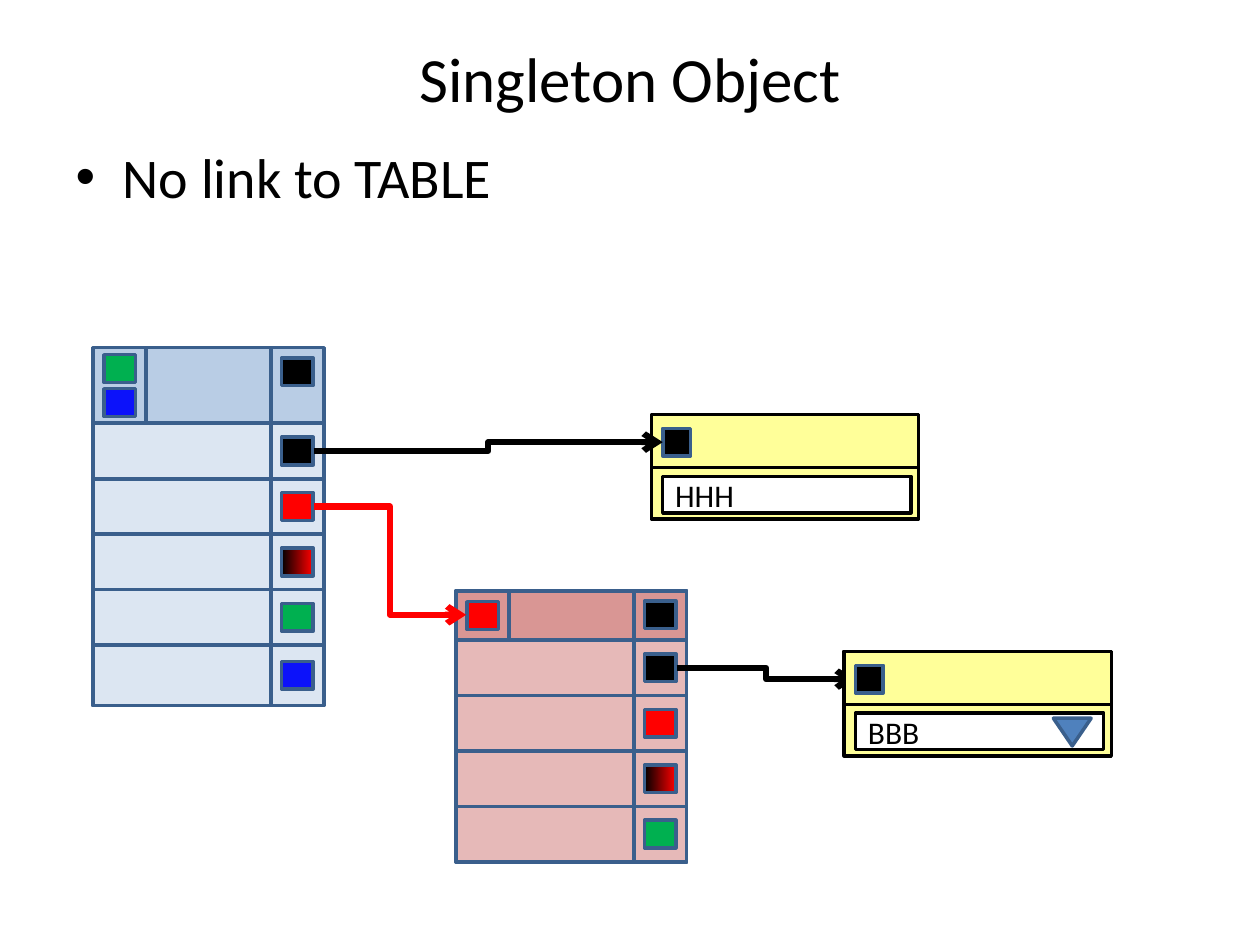
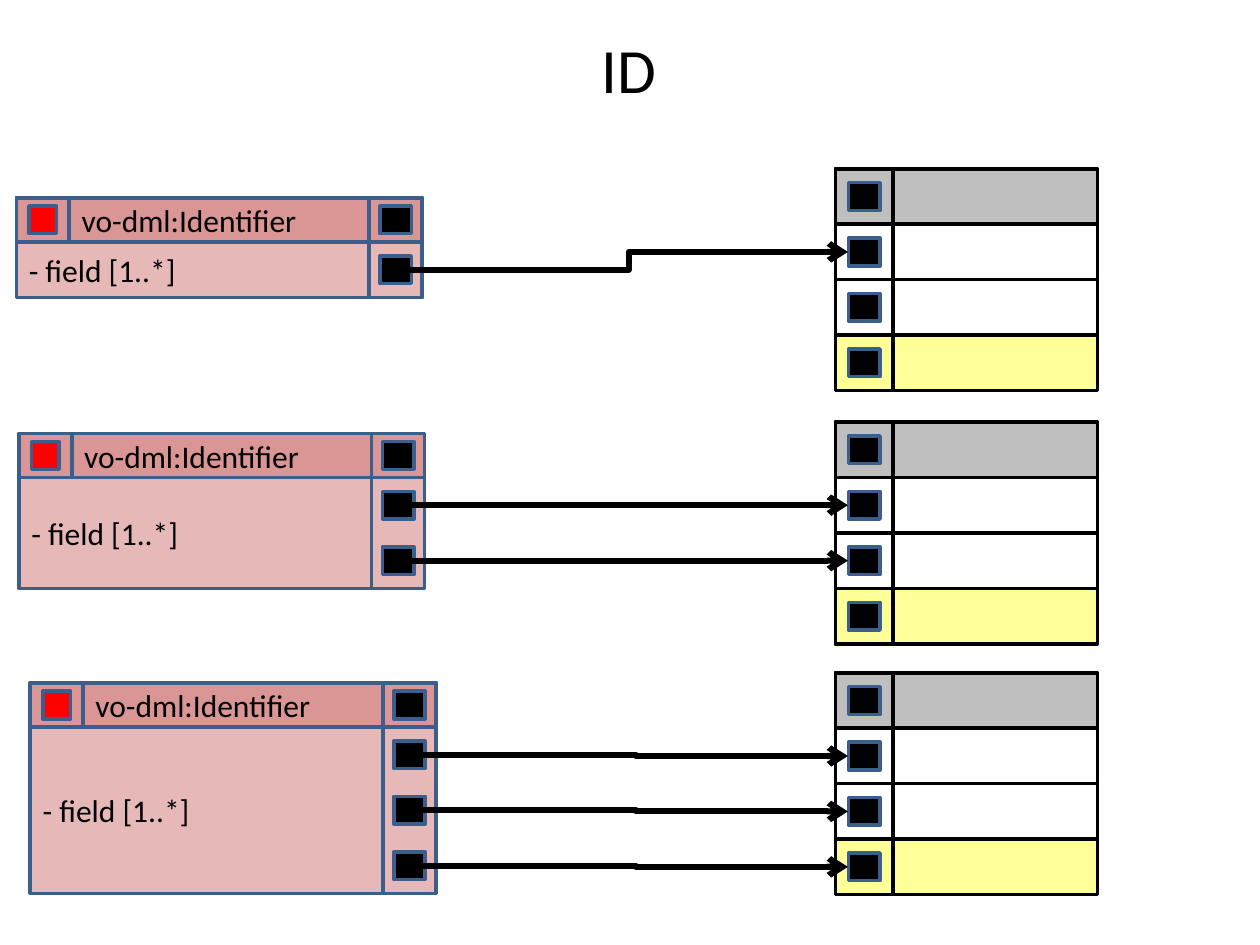
"""Builds two slides on singleton objects and identifier mappings."""
import lxml.etree
import pptx
import pptx.dml.color
import pptx.enum.shapes
import pptx.enum.text
import pptx.oxml.ns
import pptx.util

Inches = pptx.util.Inches
SHAPES = pptx.enum.shapes.MSO_SHAPE
ALIGN = pptx.enum.text.PP_ALIGN
ANCHOR = pptx.enum.text.MSO_ANCHOR

BLACK, WHITE, RED = "000000", "FFFFFF", "FF0000"
GREEN, BLUE, YELLOW, GREY = "00B050", "0C12FA", "FFFF99", "BFBFBF"
OUTLINE, ACCENT = "3A5F8C", "4F81BD"
BLUE_HEAD, BLUE_BODY = "B9CDE5", "DCE6F2"
PINK_HEAD, PINK_BODY = "D99694", "E6B9B8"
BLACK_TO_RED = (BLACK, RED)

ROW = 0.44
SIDE = 0.42
PORT_W, PORT_H = 0.25, 0.22
HEADING = {"size": pptx.util.Pt(36), "name": "Calibri"}
BULLET = {"size": pptx.util.Pt(32), "name": "Calibri"}
LABEL = {"size": pptx.util.Pt(18), "name": "Calibri"}


def rgb(value):
    """Turn a hex string into a colour."""
    return pptx.dml.color.RGBColor.from_string(value)


def set_values(target, values):
    """Set every attribute in a dict of format values."""
    for name, value in values.items():
        setattr(target, name, value)


def write(frame, text, style, align):
    """Put one formatted paragraph into a text frame."""
    frame.text = text
    paragraph = frame.paragraphs[0]
    paragraph.alignment = align
    font = paragraph.runs[0].font
    set_values(font, style)
    font.color.rgb = rgb(BLACK)


def place_text(placeholder, text, box, style, align):
    """Move a placeholder and fill in its text."""
    edges = ("left", "top", "width", "height")
    set_values(placeholder, dict(zip(edges, map(Inches, box))))
    write(placeholder.text_frame, text, style, align)


def cell(slide, box, fill=None, line=OUTLINE, text="", kind=SHAPES.RECTANGLE):
    """Add an outlined shape with a plain, gradient or empty fill."""
    shape = slide.shapes.add_shape(kind, *map(Inches, box))
    shape.shadow.inherit = False
    if fill is None:
        shape.fill.background()
    elif isinstance(fill, tuple):
        shape.fill.gradient()
        shape.fill.gradient_angle = 0
        for stop, color in zip(shape.fill.gradient_stops, fill):
            stop.color.rgb = rgb(color)
    else:
        shape.fill.solid()
        shape.fill.fore_color.rgb = rgb(fill)
    shape.line.color.rgb = rgb(line)
    shape.line.width = pptx.util.Pt(2)
    if text:
        set_values(shape.text_frame, {"word_wrap": True, "vertical_anchor": ANCHOR.MIDDLE})
        write(shape.text_frame, text, LABEL, ALIGN.LEFT)
    return shape


def ports(slide, left, top, height, colors, pitch=ROW, width=PORT_W):
    """Stack ports centred in a side column cell."""
    first = top + (height - PORT_H - pitch * (len(colors) - 1)) / 2
    for index, color in enumerate(colors):
        cell(slide, (left + (SIDE - width) / 2, first + index * pitch, width, PORT_H), color)


def object_box(slide, left, top, width, head, rows, fills, ids, title="", id_width=PORT_W):
    """Draw an object: header with ids, then rows of (label, height, port colours)."""
    head_fill, body_fill = fills
    port_left = left + width - SIDE
    total = head + sum(height for _, height, _ in rows)
    cell(slide, (left, top, width, total), body_fill)
    cell(slide, (left + SIDE, top, width - SIDE, head), head_fill, text=title)
    cell(slide, (left, top, SIDE, head), head_fill)
    row_top = top + head
    for label, height, colors in rows:
        cell(slide, (left, row_top, width, height), text=label)
        ports(slide, port_left, row_top, height, colors)
        row_top += height
    cell(slide, (port_left, top, SIDE, total))
    ports(slide, left, top, head, ids, 0.27, id_width)
    ports(slide, port_left, top, min(head, 0.38), [BLACK])


def value_box(slide, left, top, text):
    """Draw a yellow value object with its text field."""
    cell(slide, (left, top, 2.12, 0.83), YELLOW, BLACK)
    cell(slide, (left, top, 2.12, 0.42), line=BLACK)
    cell(slide, (left + 0.09, top + 0.11, 0.22, PORT_H), BLACK)
    cell(slide, (left + 0.09, top + 0.49, 1.97, 0.29), WHITE, BLACK, text)


def column_table(slide, left, top):
    """Draw a table outline: grey header, two white rows, one yellow row."""
    for index, fill in enumerate((GREY, None, None, YELLOW)):
        cell(slide, (left, top + index * ROW, 2.08, ROW), fill, BLACK)
    cell(slide, (left, top, 0.46, 4 * ROW), line=BLACK)
    ports(slide, left + 0.02, top, 4 * ROW, [BLACK] * 4)


def arrow(slide, start, end, color=BLACK):
    """Draw an elbow connector with an open arrowhead."""
    link = slide.shapes.add_connector(
        pptx.enum.shapes.MSO_CONNECTOR.ELBOW, *map(Inches, start + end))
    link.line.color.rgb = rgb(color)
    link.line.width = pptx.util.Pt(3.5)
    qn = pptx.oxml.ns.qn
    properties = link._element.spPr
    lxml.etree.SubElement(properties.find(qn("a:ln")), qn("a:tailEnd"), type="arrow")
    lxml.etree.SubElement(properties, qn("a:effectLst"))


def singleton_slide(deck):
    """Build the slide with objects that have no table link."""
    slide = deck.slides.add_slide(deck.slide_layouts[1])
    place_text(slide.shapes.title, "Singleton Object", (0.5, 0.3, 9, 0.62), HEADING, ALIGN.CENTER)
    place_text(slide.placeholders[1], "No link to TABLE", (0.5, 1.08, 9, 5.62), BULLET, ALIGN.LEFT)
    rows = [("", ROW, [color]) for color in (BLACK, RED, BLACK_TO_RED, GREEN)]
    object_box(slide, 0.74, 2.76, 1.83, 0.6, rows + [("", 0.48, [BLUE])],
               (BLUE_HEAD, BLUE_BODY), [GREEN, BLUE])
    object_box(slide, 3.62, 4.69, 1.83, 0.39, rows, (PINK_HEAD, PINK_BODY), [RED])
    value_box(slide, 5.17, 3.29, "HHH")
    arrow(slide, (2.49, 3.58), (5.26, 3.51))
    arrow(slide, (5.37, 5.3), (6.79, 5.39))
    arrow(slide, (2.49, 4.02), (3.7, 4.88), RED)
    value_box(slide, 6.7, 5.17, "BBB")
    dropdown = cell(slide, (8.36, 5.7, 0.3, 0.22), ACCENT, kind=SHAPES.ISOSCELES_TRIANGLE)
    dropdown.rotation = 180


def id_slide(deck):
    """Build the slide that maps identifier fields to table columns."""
    slide = deck.slides.add_slide(deck.slide_layouts[5])
    place_text(slide.shapes.title, "ID", (4.17, 0.23, 1.64, 0.62), HEADING, ALIGN.CENTER)
    table_left, head = 6.63, 0.35
    mappings = ((0.13, 1.57, 1.34), (0.15, 3.44, 3.35), (0.24, 5.42, 5.34))
    for fields, (left, top, table_top) in enumerate(mappings, 1):
        column_table(slide, table_left, table_top)
        object_box(slide, left, top, 3.22, head,
                   [("- field [1..*]", fields * ROW, [BLACK] * fields)],
                   (PINK_HEAD, PINK_BODY), [RED], "vo-dml:Identifier", 0.22)
        for index in range(fields):
            start = (left + 3.12, top + head + (index + 0.5) * ROW)
            end = (table_left + 0.1, table_top + (index + 1.5) * ROW)
            arrow(slide, start, end)


def main():
    """Build and save the presentation."""
    deck = pptx.Presentation()
    set_values(deck, {"slide_width": Inches(10), "slide_height": Inches(7.5)})
    singleton_slide(deck)
    id_slide(deck)
    deck.save("out.pptx")


if __name__ == "__main__":
    main()
